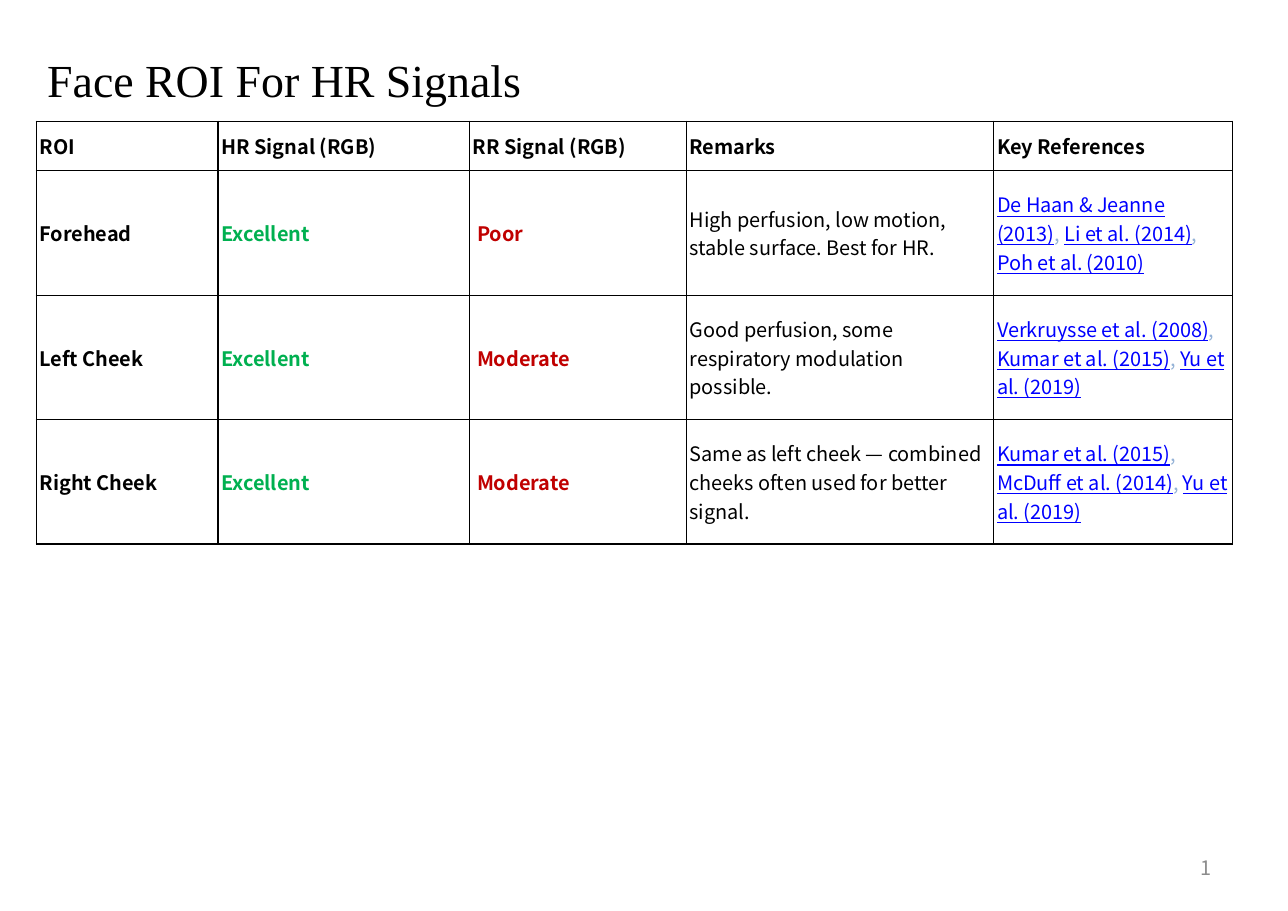
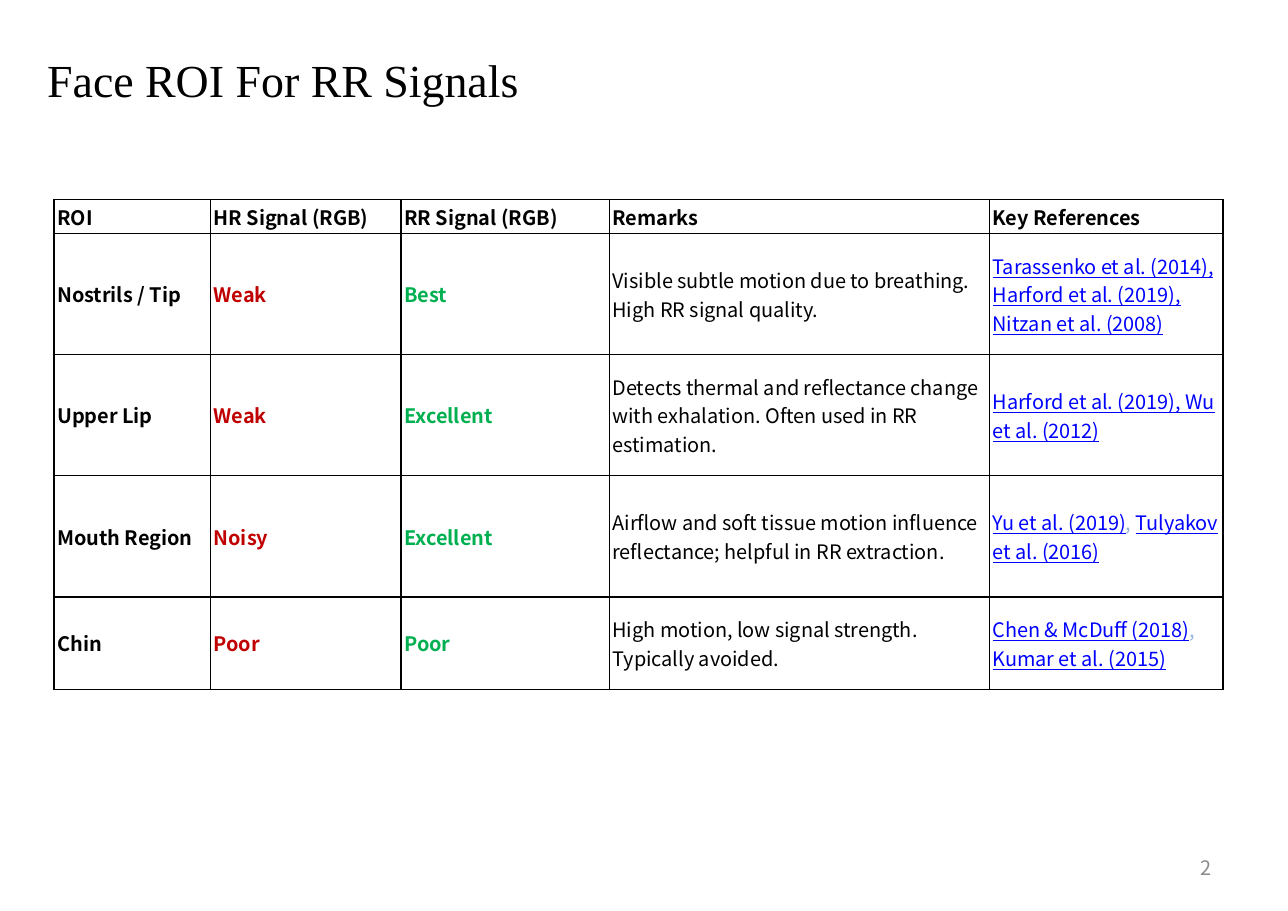
from dataclasses import dataclass
from itertools import product

from lxml.etree import SubElement
from pptx import Presentation
from pptx.dml.color import RGBColor
from pptx.enum.text import MSO_ANCHOR as Anchor, MSO_AUTO_SIZE as AutoSize, PP_ALIGN as Align
from pptx.oxml.ns import qn
from pptx.util import Inches, Pt


@dataclass(frozen=True)
class Theme:
    ink: str = "000000"
    good: str = "00B050"
    weak: str = "C00000"
    link: str = "0000FF"
    separator: str = "95B3D7"
    page_number: str = "8C8C8C"
    title_font: str = "Times New Roman"
    body_font: str = "Noto Sans CJK KR"
    title_size: int = 30
    body_size: int = 13
    border: int = 1


THEME = Theme()

# Content: the last entry of each row lists its linked references
HEADINGS = ("ROI", "HR Signal (RGB)", "RR Signal (RGB)", "Remarks", "Key References")
SLIDES = [
    {
        "title": "Face ROI For HR Signals",
        "origin": (0.33, 1.1),
        "columns": (1.65, 2.28, 1.97, 2.79, 2.17),
        "heights": (0.45, 1.13, 1.13, 1.13),
        "rating_colors": (THEME.good, THEME.weak),
        "rr_indent": 0.07,
        "rows": [
            ("Forehead", "Excellent", "Poor",
             "High perfusion, low motion, stable surface. Best for HR.",
             ["De Haan & Jeanne (2013)", "Li et al. (2014)", "Poh et al. (2010)"]),
            ("Left Cheek", "Excellent", "Moderate",
             "Good perfusion, some respiratory modulation possible.",
             ["Verkruysse et al. (2008)", "Kumar et al. (2015)", "Yu et al. (2019)"]),
            ("Right Cheek", "Excellent", "Moderate",
             "Same as left cheek — combined cheeks often used for better signal.",
             ["Kumar et al. (2015)", "McDuff et al. (2014)", "Yu et al. (2019)"]),
        ],
    },
    {
        "title": "Face ROI For RR Signals",
        "origin": (0.49, 1.81),
        "columns": (1.42, 1.73, 1.89, 3.45, 2.12),
        "heights": (0.31, 1.1, 1.1, 1.1, 0.84),
        "rating_colors": (THEME.weak, THEME.good),
        "rr_indent": 0.03,
        "rows": [
            ("Nostrils / Tip", "Weak", "Best",
             "Visible subtle motion due to breathing. High RR signal quality.",
             ["Tarassenko et al. (2014), Harford et al. (2019), Nitzan et al. (2008)"]),
            ("Upper Lip", "Weak", "Excellent",
             "Detects thermal and reflectance change with exhalation. Often used in RR estimation.",
             ["Harford et al. (2019), Wu et al. (2012)"]),
            ("Mouth Region", "Noisy", "Excellent",
             "Airflow and soft tissue motion influence reflectance; helpful in RR extraction.",
             ["Yu et al. (2019)", "Tulyakov et al. (2016)"]),
            ("Chin", "Poor", "Poor",
             "High motion, low signal strength. Typically avoided.",
             ["Chen & McDuff (2018)", "Kumar et al. (2015)"]),
        ],
    },
]


def write(para, text, *, font=THEME.body_font, size=THEME.body_size,
          color=THEME.ink, bold=False, underline=False):
    span = para.add_run()
    span.text = text
    span.font.name = font
    span.font.size = Pt(size)
    span.font.color.rgb = RGBColor.from_string(color)
    span.font.bold = bold
    span.font.underline = underline


def set_margins(target, side, top):
    target.margin_left = target.margin_right = Inches(side)
    target.margin_top = target.margin_bottom = Inches(top)


def add_box(page, left, top, width, height):
    box = page.shapes.add_textbox(*map(Inches, (left, top, width, height)))
    box.text_frame.word_wrap = True
    return box.text_frame


# Shared title and page number
def add_frame(page, title, number):
    frame = add_box(page, 0.33, 0.17, 9.11, 0.78)
    frame.auto_size = AutoSize.SHAPE_TO_FIT_TEXT
    para = frame.paragraphs[0]
    para.line_spacing = 1.5
    write(para, title, font=THEME.title_font, size=THEME.title_size)

    frame = add_box(page, 8.38, 7.66, 2.73, 0.44)
    set_margins(frame, 0.11, 0.05)
    frame.vertical_anchor = Anchor.MIDDLE
    para = frame.paragraphs[0]
    para.alignment = Align.RIGHT
    write(para, str(number), color=THEME.page_number)


# Table cells
def style_cell(cell):
    set_margins(cell, 0.03, 0.02)
    cell.vertical_anchor = Anchor.MIDDLE
    properties = cell._tc.get_or_add_tcPr()
    for side in ("a:lnL", "a:lnR", "a:lnT", "a:lnB"):
        line = SubElement(properties, qn(side), w=str(Pt(THEME.border)))
        fill = SubElement(line, qn("a:solidFill"))
        SubElement(fill, qn("a:srgbClr"), val=THEME.ink)
    cell.fill.background()


def write_references(para, references):
    for index, reference in enumerate(references):
        if index:
            write(para, ", ", color=THEME.separator)
        write(para, reference, color=THEME.link, underline=True)


def add_roi_table(page, content):
    columns, heights = content["columns"], content["heights"]
    left, top = content["origin"]
    table = page.shapes.add_table(
        len(heights), len(columns), Inches(left), Inches(top),
        Inches(sum(columns)), Inches(sum(heights))).table
    table.first_row = table.horz_banding = False
    for column, width in zip(table.columns, columns):
        column.width = Inches(width)
    for row, height in zip(table.rows, heights):
        row.height = Inches(height)

    rows = [HEADINGS, *content["rows"]]
    body_colors = (THEME.ink, *content["rating_colors"], THEME.ink)
    for r, c in product(range(len(heights)), range(len(columns))):
        cell = table.cell(r, c)
        style_cell(cell)
        para = cell.text_frame.paragraphs[0]
        if r == 0:
            write(para, rows[r][c], bold=True)
        elif c == 4:
            write_references(para, rows[r][c])
        else:
            write(para, rows[r][c], color=body_colors[c], bold=c < 3)
            if c == 2:
                cell.margin_left = Inches(content["rr_indent"])


def main():
    deck = Presentation()
    deck.slide_width, deck.slide_height = Inches(11.69), Inches(8.27)
    for number, content in enumerate(SLIDES, start=1):
        page = deck.slides.add_slide(deck.slide_layouts[6])
        add_frame(page, content["title"], number)
        add_roi_table(page, content)
    deck.save("out.pptx")


if __name__ == "__main__":
    main()
